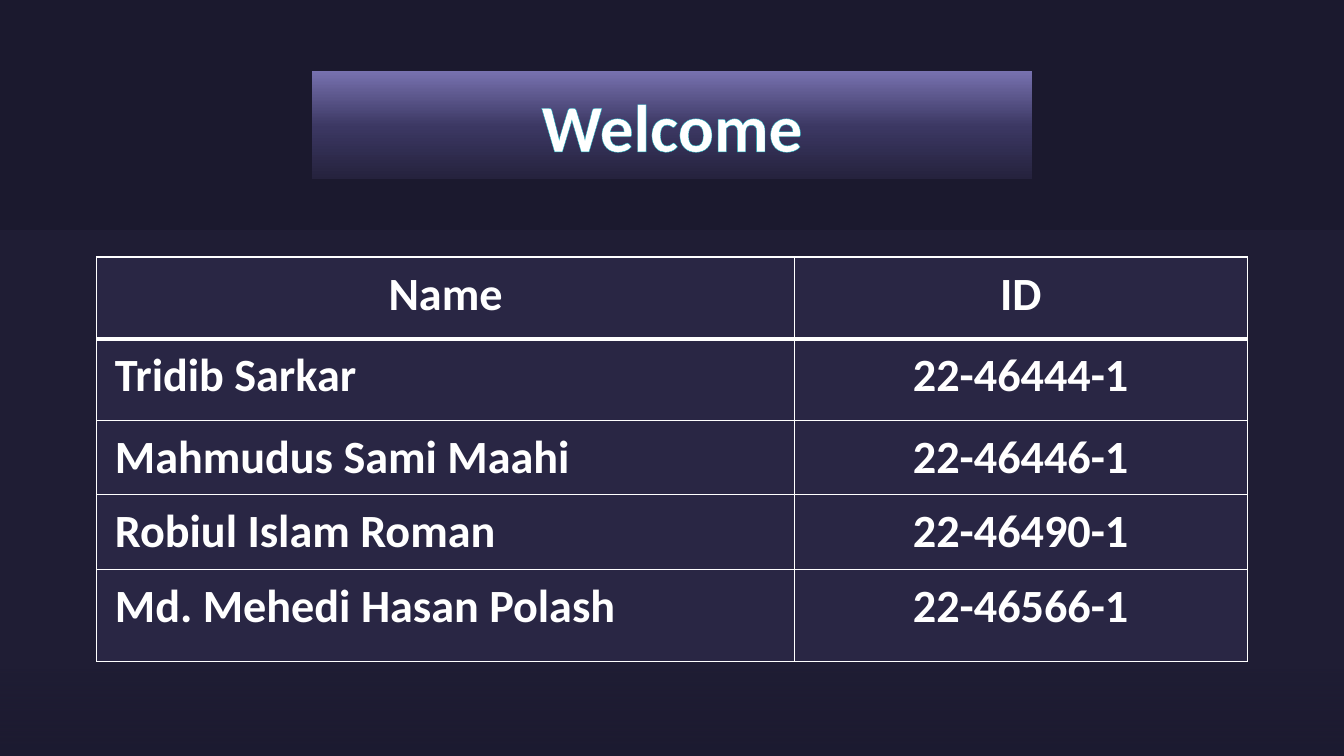
from lxml.etree import SubElement
from pptx import Presentation
from pptx.dml.color import RGBColor
from pptx.enum.shapes import MSO_SHAPE as Preset
from pptx.enum.text import MSO_ANCHOR as Anchor, PP_ALIGN as Align
from pptx.oxml import parse_xml
from pptx.oxml.ns import nsdecls, qn
from pptx.util import Inches, Pt

TITLE = "Welcome"
MEMBERS = [
    ("Name", "ID"),
    ("Tridib Sarkar", "22-46444-1"),
    ("Mahmudus Sami Maahi", "22-46446-1"),
    ("Robiul Islam Roman", "22-46490-1"),
    ("Md. Mehedi Hasan Polash", "22-46566-1"),
]
COLUMN_WIDTHS = [6.92, 4.49]
ROW_HEIGHTS = [0.81, 0.81, 0.74, 0.74, 0.91]
WIDTH, HEIGHT = 13.33, 7.5
TITLE_WIDTH, TITLE_HEIGHT, TITLE_TOP = 7.15, 1.08, 0.7
PANEL_TOP, FADE_TOP, TABLE_TOP = 2.28, 6.31, 2.55

NIGHT = RGBColor(0x1B, 0x19, 0x2E)
LILAC = RGBColor(0x77, 0x71, 0xB2)
CELL = RGBColor(0x29, 0x26, 0x44)
TEAL = RGBColor(0x12, 0xB1, 0xBF)
WHITE = RGBColor(0xFF, 0xFF, 0xFF)
TITLE_STOPS = [
    (0, RGBColor(0x25, 0x22, 0x3D), 100),
    (48, RGBColor(0x3B, 0x37, 0x62), 100),
    (100, RGBColor(0x78, 0x72, 0xB0), 100),
]
FADE_STOPS = [(28, NIGHT, 0), (90, NIGHT, 60)]


def set_opacity(color, percent):
    SubElement(color, qn("a:alpha"), val=str(percent * 1000))


def fill_gradient(shape, stops, angle):
    shape.fill.gradient()
    shape.fill.gradient_angle = angle
    stop_list = next(shape._element.spPr.iter(qn("a:gsLst")))
    for old_stop in list(stop_list):
        stop_list.remove(old_stop)
    for position, color, opacity in stops:
        stop = SubElement(stop_list, qn("a:gs"), pos=str(position * 1000))
        set_opacity(SubElement(stop, qn("a:srgbClr"), val=str(color)), opacity)


def outline(tag, color, points):
    return parse_xml(
        f'<a:{tag} {nsdecls("a")} w="{Pt(points)}"><a:solidFill>'
        f'<a:srgbClr val="{color}"/></a:solidFill></a:{tag}>'
    )


def style_font(font, size):
    font.name, font.size, font.bold = "Calibri", Pt(size), True
    font.color.rgb = WHITE


def add_band(page, top):
    band = page.shapes.add_shape(
        Preset.RECTANGLE, 0, Inches(top), Inches(WIDTH), Inches(HEIGHT - top)
    )
    band.shadow.inherit = False
    band.line.fill.background()
    return band


def add_title(page):
    title = page.shapes.title
    title.left, title.top = Inches((WIDTH - TITLE_WIDTH) / 2), Inches(TITLE_TOP)
    title.width, title.height = Inches(TITLE_WIDTH), Inches(TITLE_HEIGHT)
    fill_gradient(title, TITLE_STOPS, 90)
    frame = title.text_frame
    frame.margin_left = frame.margin_right = frame.margin_top = frame.margin_bottom = 0
    frame.vertical_anchor = Anchor.MIDDLE
    para = frame.paragraphs[0]
    para.alignment = Align.CENTER
    span = para.add_run()
    span.text = TITLE
    style_font(span.font, 48)
    span._r.get_or_add_rPr().insert(0, outline("ln", TEAL, 0.52))


def fill_cell(cell, text, row, column):
    cell.fill.solid()
    cell.fill.fore_color.rgb = CELL
    cell.margin_left = cell.margin_right = Inches(0.18)
    cell.margin_top = cell.margin_bottom = Inches(0.09)
    cell.text = text
    para = cell.text_frame.paragraphs[0]
    para.alignment = Align.CENTER if row == 0 or column == 1 else Align.LEFT
    style_font(para.font, 33)
    borders = {"lnL": 1, "lnR": 1, "lnT": 3 if row == 1 else 1, "lnB": 3 if row == 0 else 1}
    for place, (side, points) in enumerate(borders.items()):
        cell._tc.get_or_add_tcPr().insert(place, outline(side, WHITE, points))


def add_members(page):
    table_width = sum(COLUMN_WIDTHS)
    table = page.shapes.add_table(
        len(MEMBERS), len(COLUMN_WIDTHS),
        Inches((WIDTH - table_width) / 2), Inches(TABLE_TOP),
        Inches(table_width), Inches(sum(ROW_HEIGHTS)),
    ).table
    for column, width in zip(table.columns, COLUMN_WIDTHS):
        column.width = Inches(width)
    for row, height in zip(table.rows, ROW_HEIGHTS):
        row.height = Inches(height)
    for row, member in enumerate(MEMBERS):
        for column, text in enumerate(member):
            fill_cell(table.cell(row, column), text, row, column)


def main():
    deck = Presentation()
    deck.slide_width, deck.slide_height = Inches(WIDTH), Inches(HEIGHT)
    page = deck.slides.add_slide(deck.slide_layouts[5])
    page.background.fill.solid()
    page.background.fill.fore_color.rgb = NIGHT
    add_title(page)
    panel = add_band(page, PANEL_TOP)
    panel.fill.solid()
    panel.fill.fore_color.rgb = LILAC
    set_opacity(next(panel._element.spPr.iter(qn("a:srgbClr"))), 5)
    fill_gradient(add_band(page, FADE_TOP), FADE_STOPS, 270)
    add_members(page)
    deck.save("out.pptx")


if __name__ == "__main__":
    main()
